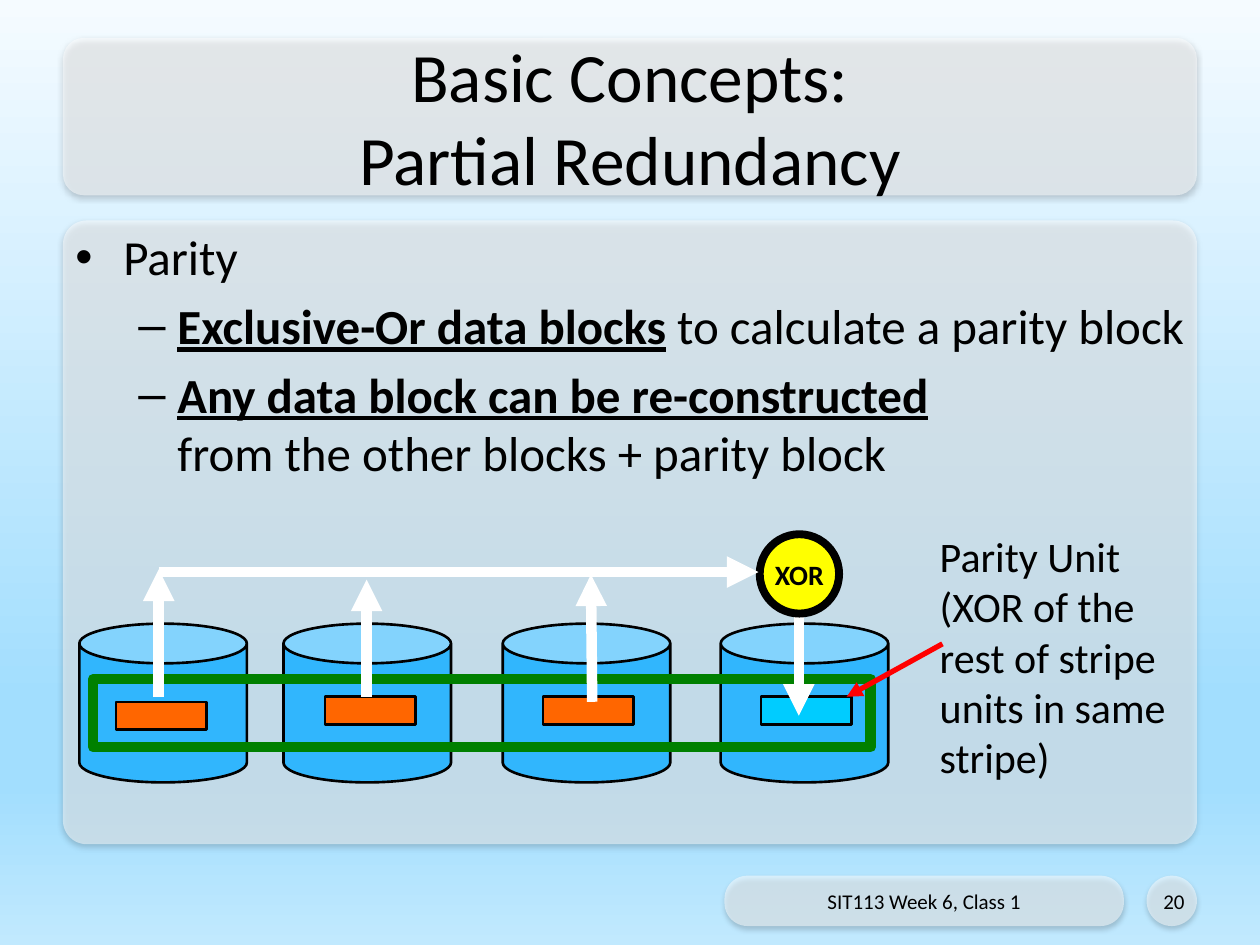
from dataclasses import dataclass

from lxml import etree
from pptx import Presentation
from pptx.dml.color import RGBColor
from pptx.enum.shapes import MSO_CONNECTOR, MSO_SHAPE
from pptx.enum.text import MSO_ANCHOR, PP_ALIGN
from pptx.oxml.ns import qn
from pptx.util import Inches, Pt

STRAIGHT = MSO_CONNECTOR.STRAIGHT
ROUNDED, CAN = MSO_SHAPE.ROUNDED_RECTANGLE, MSO_SHAPE.CAN
RECTANGLE, OVAL = MSO_SHAPE.RECTANGLE, MSO_SHAPE.OVAL
TOP, MIDDLE = MSO_ANCHOR.TOP, MSO_ANCHOR.MIDDLE
LEFT, CENTER, RIGHT = PP_ALIGN.LEFT, PP_ALIGN.CENTER, PP_ALIGN.RIGHT


@dataclass(frozen=True)
class Theme:
    font: str = "Calibri"
    ink: str = "000000"
    panel: str = "FFFFFF"
    arrow: str = "FFFFFF"
    pointer: str = "FF0000"
    disk: str = "31B6FD"
    data: str = "FF6600"
    parity: str = "00CCFF"
    stripe: str = "008000"
    xor: str = "FFFF00"
    sky: tuple = ((0, "F5FBFF"), (74, "A2DEFE"), (83, "A2DEFE"), (100, "C1E9FE"))
    title_size: float = 39.6
    body_size: float = 28
    label_size: float = 24
    xor_size: float = 16
    footer_size: float = 12


THEME = Theme()
TITLE_AREA = (0.5, 0.3, 9, 1.25)
BODY_AREA = (0.5, 1.75, 9, 4.95)
FOOTER_AREA = (5.75, 6.95, 3.17, 0.4)
NUMBER_AREA = (9.1, 6.95, 0.4, 0.4)
PANELS = ((BODY_AREA, 0.038), (NUMBER_AREA, 0.5), (FOOTER_AREA, 0.459), (TITLE_AREA, 0.133))
DISK_LEFTS = (0.63, 2.25, 3.99, 5.72)
BLOCKS = (
    (0.92, 5.57, THEME.data),
    (2.58, 5.53, THEME.data),
    (4.31, 5.53, THEME.data),
    (6.04, 5.53, THEME.parity),
)
DATA_FLOWS = (
    ((1.26, 5.53), (1.26, 4.52)),
    ((2.91, 5.53), (2.91, 4.6)),
    ((4.7, 5.57), (4.69, 4.56)),
    ((6.34, 4.66), (6.34, 5.68)),
)
BULLETS = (
    ("•", 0.38, 0.38, (("Parity", False),)),
    ("–", 0.81, 0.31, (("Exclusive-Or data blocks", True), (" to calculate a parity block", False))),
    ("–", 0.81, 0.31, (
        ("Any data block can be re-constructed", True),
        (" \nfrom the other blocks + parity block", False),
    )),
)


def rgb(value):
    return RGBColor.from_string(value)


def add_child(parent, tag, **attributes):
    return etree.SubElement(parent, qn(tag), {key: str(value) for key, value in attributes.items()})


def paint_sky(slide):
    fill = slide.background.fill
    fill.gradient()
    fill.gradient_angle = 270
    stops = next(slide.element.iter(qn("a:gsLst")))
    for stop in list(stops):
        stops.remove(stop)
    for position, color in THEME.sky:
        stop = add_child(stops, "a:gs", pos=position * 1000)
        add_child(stop, "a:srgbClr", val=color)


def add_figure(slide, kind, area, fill=None, line=None, weight=1.5):
    figure = slide.shapes.add_shape(kind, *map(Inches, area))
    figure.shadow.inherit = False
    if fill:
        figure.fill.solid()
        figure.fill.fore_color.rgb = rgb(fill)
    else:
        figure.fill.background()
    if line:
        figure.line.color.rgb = rgb(line)
        figure.line.width = Pt(weight)
    else:
        figure.line.fill.background()
    return figure


def add_panel(slide, area, rounding):
    panel = add_figure(slide, ROUNDED, area, THEME.panel)
    panel.adjustments[0] = rounding
    properties = panel.element.spPr
    fill_color = properties.find(qn("a:solidFill")).find(qn("a:srgbClr"))
    add_child(fill_color, "a:alpha", val=50000)
    shadow = add_child(
        properties.find(qn("a:effectLst")), "a:outerShdw",
        blurRad=Pt(3.1), dist=Pt(1.8), dir=90 * 60000, rotWithShape=0,
    )
    shadow_color = add_child(shadow, "a:srgbClr", val=THEME.ink)
    add_child(shadow_color, "a:alpha", val=35000)


def add_run(paragraph, text, size, bold=False, underline=False):
    for index, line in enumerate(text.split("\n")):
        if index:
            paragraph.add_line_break()
        run = paragraph.add_run()
        run.text = line
        run.font.name = THEME.font
        run.font.size = Pt(size)
        run.font.bold = bold
        run.font.underline = underline
        run.font.color.rgb = rgb(THEME.ink)


def add_frame(slide, area, anchor):
    frame = slide.shapes.add_textbox(*map(Inches, area)).text_frame
    frame.word_wrap = True
    frame.vertical_anchor = anchor
    return frame


def add_label(slide, area, text, size, align=LEFT, anchor=MIDDLE):
    paragraph = add_frame(slide, area, anchor).paragraphs[0]
    paragraph.alignment = align
    add_run(paragraph, text, size)


def add_bullets(slide, area):
    frame = add_frame(slide, area, TOP)
    for index, (mark, margin, hanging, parts) in enumerate(BULLETS):
        paragraph = frame.add_paragraph() if index else frame.paragraphs[0]
        properties = paragraph._p.get_or_add_pPr()
        properties.set("marL", str(Inches(margin)))
        properties.set("indent", str(-Inches(hanging)))
        add_child(properties, "a:buFont", typeface="Arial")
        add_child(properties, "a:buChar", char=mark)
        if index:
            paragraph.level = 1
            paragraph.space_before = Pt(0.2 * THEME.body_size)
        for text, stressed in parts:
            add_run(paragraph, text, THEME.body_size, stressed, stressed)


def add_arrow(slide, start, end, color=THEME.arrow, weight=6):
    arrow = slide.shapes.add_connector(STRAIGHT, *map(Inches, start + end))
    arrow.line.color.rgb = rgb(color)
    arrow.line.width = Pt(weight)
    add_child(arrow.line._get_or_add_ln(), "a:tailEnd", type="triangle")
    add_child(arrow._element.spPr, "a:effectLst")


def add_xor(slide):
    gate = add_figure(slide, OVAL, (6.03, 4.24, 0.63, 0.63), THEME.xor, THEME.ink, 4.5)
    frame = gate.text_frame
    frame.word_wrap = False
    frame.vertical_anchor = MIDDLE
    frame.paragraphs[0].alignment = CENTER
    add_run(frame.paragraphs[0], "XOR", THEME.xor_size, bold=True)


def add_stripe_diagram(slide):
    for left in DISK_LEFTS:
        add_figure(slide, CAN, (left, 4.95, 1.33, 1.26), THEME.disk, THEME.ink)
    for left, top, color in BLOCKS:
        add_figure(slide, RECTANGLE, (left, top, 0.72, 0.22), color, THEME.ink)
    add_figure(slide, RECTANGLE, (0.74, 5.39, 6.17, 0.54), line=THEME.stripe, weight=6)
    add_label(slide, (7.36, 4.16, 2.05, 2.12),
              "Parity Unit (XOR of the rest of stripe units in same stripe)",
              THEME.label_size, anchor=TOP)
    add_arrow(slide, (7.48, 5.11), (6.72, 5.53), THEME.pointer, 3)
    for start, end in DATA_FLOWS:
        add_arrow(slide, start, end)
    add_xor(slide)
    add_arrow(slide, (1.26, 4.54), (6.02, 4.54))


def main():
    presentation = Presentation()
    presentation.slide_width, presentation.slide_height = Inches(10), Inches(7.5)
    slide = presentation.slides.add_slide(presentation.slide_layouts[6])
    paint_sky(slide)
    for area, rounding in PANELS:
        add_panel(slide, area, rounding)
    add_bullets(slide, (0.5, 1.75, 9.08, 4.95))
    add_label(slide, TITLE_AREA, "Basic Concepts:\nPartial Redundancy", THEME.title_size, CENTER)
    add_label(slide, FOOTER_AREA, "SIT113 Week 6, Class 1", THEME.footer_size, CENTER)
    add_label(slide, NUMBER_AREA, "20", THEME.footer_size, RIGHT)
    add_stripe_diagram(slide)
    presentation.save("out.pptx")


if __name__ == "__main__":
    main()
